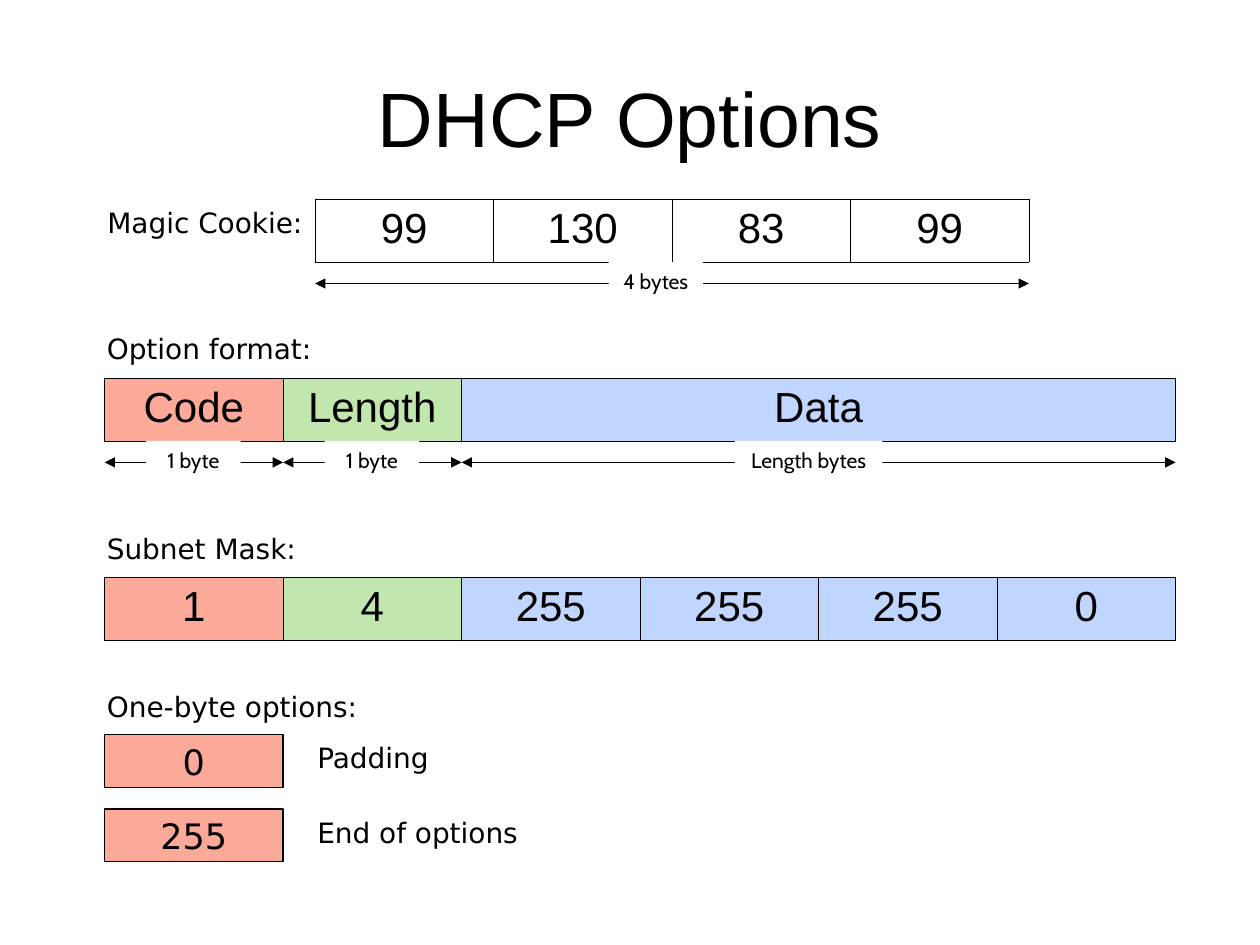
from dataclasses import dataclass

from lxml import etree
from pptx import Presentation
from pptx.dml.color import RGBColor
from pptx.enum.shapes import MSO_CONNECTOR, MSO_SHAPE
from pptx.enum.text import MSO_ANCHOR, PP_ALIGN
from pptx.oxml import parse_xml
from pptx.oxml.ns import nsdecls, qn
from pptx.slide import Slide
from pptx.util import Inches, Pt

RECT, LINE = MSO_SHAPE.RECTANGLE, MSO_CONNECTOR.STRAIGHT
LEFT, MID, RIGHT = PP_ALIGN.LEFT, PP_ALIGN.CENTER, PP_ALIGN.RIGHT
TOP, CENTER = MSO_ANCHOR.TOP, MSO_ANCHOR.MIDDLE
BLACK = RGBColor(0x00, 0x00, 0x00)
WHITE = RGBColor(0xFF, 0xFF, 0xFF)
RED = RGBColor(0xFB, 0xA9, 0x99)
GREEN = RGBColor(0xC1, 0xE6, 0xAE)
BLUE = RGBColor(0xC1, 0xD6, 0xFF)
SANS, ARIAL, CABIN = "DejaVu Sans", "Arial", "Cabin"
EDGE = 0.83
BYTE = 8.5 / 6
ROW = 0.5


@dataclass
class Field:
    text: str
    fill: RGBColor = WHITE
    span: int = 1


@dataclass
class Record:
    left: float
    top: float
    fields: list[Field]


@dataclass
class Label:
    text: str
    left: float
    top: float
    width: float
    height: float = 0.37
    align: PP_ALIGN = LEFT
    font: str = SANS
    size: int = 16
    anchor: MSO_ANCHOR = TOP


@dataclass
class Measure:
    text: str
    left: float
    top: float
    span: int
    inset: float
    width: float
    height: float


RECORDS = [
    Record(2.5, 1.58, [Field(n) for n in ("99", "130", "83", "99")]),
    Record(EDGE, 3, [Field("Code", RED), Field("Length", GREEN), Field("Data", BLUE, 4)]),
    Record(EDGE, 4.58, [Field("1", RED), Field("4", GREEN),
                        *(Field(n, BLUE) for n in ("255", "255", "255", "0"))]),
]
LABELS = [
    Label("DHCP Options", 0.5, 0.3, 9, 1.25, MID, ARIAL, 44, CENTER),
    Label("Magic Cookie:", 0.67, 1.58, 1.83, align=RIGHT),
    Label("Option format:", 0.75, 2.58, 2),
    Label("Subnet Mask:", 0.75, 4.17, 1.83),
    Label("One-byte options:", 0.75, 5.42, 2.25),
    Label("Padding", 2.42, 5.83, 1.25),
    Label("End of options", 2.42, 6.42, 1.92),
]
MEASURES = [
    Measure("4 bytes", 2.5, 2.25, 4, 2.33, 0.75, 0.5),
    Measure("1 byte", EDGE, 3.67, 1, 0.33, 0.75, 0.3),
    Measure("1 byte", EDGE + BYTE, 3.67, 1, 0.33, 0.75, 0.3),
    Measure("Length bytes", EDGE + 2 * BYTE, 3.67, 4, 2.17, 1.17, 0.5),
]
CODES = [("0", 5.83), ("255", 6.42)]


def write(frame, text: str, font: str, size: int, align: PP_ALIGN = MID) -> None:
    par = frame.paragraphs[0]
    par.text, par.alignment = text, align
    par.font.name, par.font.size = font, Pt(size)
    par.font.color.rgb = BLACK


def add_label(slide: Slide, label: Label) -> None:
    box = slide.shapes.add_textbox(Inches(label.left), Inches(label.top),
                                   Inches(label.width), Inches(label.height))
    frame = box.text_frame
    frame.word_wrap, frame.vertical_anchor = True, label.anchor
    write(frame, label.text, label.font, label.size, label.align)


def add_rect(slide: Slide, left: float, top: float, width: float,
             height: float, fill: RGBColor):
    rect = slide.shapes.add_shape(RECT, Inches(left), Inches(top),
                                  Inches(width), Inches(height))
    rect.shadow.inherit = False
    rect.fill.solid()
    rect.fill.fore_color.rgb = fill
    return rect


def add_code(slide: Slide, text: str, top: float) -> None:
    rect = add_rect(slide, EDGE, top, BYTE, 0.42, RED)
    rect.line.color.rgb, rect.line.width = BLACK, Pt(0.75)
    rect.text_frame.vertical_anchor = CENTER
    write(rect.text_frame, text, SANS, 20)


def add_record(slide: Slide, record: Record) -> None:
    width = BYTE * sum(field.span for field in record.fields)
    frame = slide.shapes.add_table(1, len(record.fields), Inches(record.left),
                                   Inches(record.top), Inches(width), Inches(ROW))
    table = frame.table
    table.first_row = table.horz_banding = False
    for index, field in enumerate(record.fields):
        table.columns[index].width = Inches(BYTE * field.span)
        cell = table.cell(0, index)
        props = cell._tc.get_or_add_tcPr()
        for side in "LRTB":
            props.append(parse_xml(
                f'<a:ln{side} {nsdecls("a")} w="{Pt(0.34)}"><a:solidFill>'
                f'<a:srgbClr val="{BLACK}"/></a:solidFill></a:ln{side}>'))
        cell.fill.solid()
        cell.fill.fore_color.rgb = field.fill
        write(cell.text_frame, field.text, ARIAL, 24)


def add_arrow(slide: Slide, left: float, top: float, width: float) -> None:
    arrow = slide.shapes.add_connector(LINE, Inches(left), Inches(top),
                                       Inches(left + width), Inches(top))
    arrow.line.color.rgb, arrow.line.width = BLACK, Pt(0.75)
    for end in ("a:headEnd", "a:tailEnd"):
        etree.SubElement(arrow.line._get_or_add_ln(), qn(end), type="triangle")
    etree.SubElement(arrow._element.spPr, qn("a:effectLst"))


def add_measure(slide: Slide, item: Measure) -> None:
    add_arrow(slide, item.left, item.top, BYTE * item.span)
    rect = add_rect(slide, item.left + item.inset, item.top - 0.17,
                    item.width, item.height, WHITE)
    rect.line.fill.background()
    rect.text_frame.word_wrap, rect.text_frame.vertical_anchor = True, TOP
    write(rect.text_frame, item.text, CABIN, 12)


def main() -> None:
    """Build the DHCP options slide."""
    deck = Presentation()
    deck.slide_width, deck.slide_height = Inches(10), Inches(7.5)
    slide = deck.slides.add_slide(deck.slide_layouts[6])
    for record in RECORDS:
        add_record(slide, record)
    for label in LABELS:
        add_label(slide, label)
    for item in MEASURES:
        add_measure(slide, item)
    for text, top in CODES:
        add_code(slide, text, top)
    deck.save("out.pptx")


if __name__ == "__main__":
    main()
